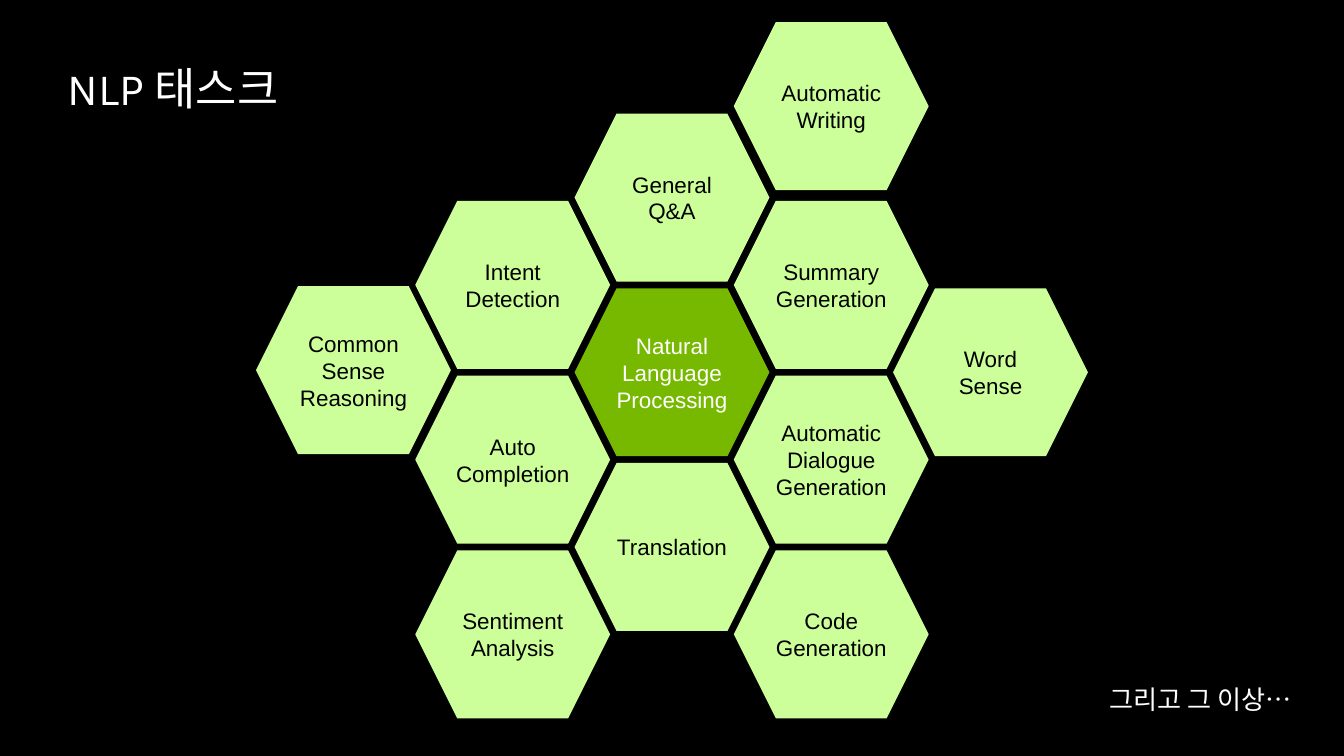
from pptx import Presentation
from pptx.dml.color import RGBColor
from pptx.enum.shapes import MSO_SHAPE as SHAPE
from pptx.enum.text import MSO_ANCHOR as ANCHOR, MSO_AUTO_SIZE as AUTO, PP_ALIGN as ALIGN
from pptx.util import Inches, Pt

BLACK, WHITE, GREEN, LIME = "000000", "FFFFFF", "76B900", "CCFF99"

# Content: task, columns from the centre, half rows from the centre, vertical nudge
CENTRE = "Natural Language Processing"
TASKS = [
    (CENTRE, 0, 0, 0),
    ("General Q&A", 0, -2, 0),
    ("Translation", 0, 2, 0),
    ("Summary Generation", 1, -1, 0),
    ("Automatic Dialogue Generation", 1, 1, 0),
    ("Intent Detection", -1, -1, 0),
    ("Auto Completion", -1, 1, 0),
    ("Word Sense", 2, 0, 0),
    ("Code Generation", 1, 3, 0),
    ("Common Sense Reasoning", -2, 0, -0.03),
    ("Automatic Writing", 1, -3, -0.06),
    ("Sentiment Analysis", -1, 3, 0),
]
# Text, box, size, alignment, anchor
LABELS = [
    ("그리고 그 이상…", (16.18, 10.16, 3.38, 0.53), 28, ALIGN.CENTER, ANCHOR.MIDDLE),
    ("NLP 태스크", (0.91, 0.95, 5.17, 1.08), 48, ALIGN.LEFT, ANCHOR.TOP),
]

# Honeycomb geometry in inches
HEX_W, HEX_H = 2.9, 2.5
LEFT, TOP = 8.55, 4.29
COL_STEP, HALF_ROW = 2.37, 1.3


def rgb(value):
    return RGBColor.from_string(value)


def write(sp, text, font, size, color, align, anchor):
    tf = sp.text_frame
    tf.word_wrap = True
    tf.vertical_anchor = anchor
    p = tf.paragraphs[0]
    p.alignment = align
    r = p.add_run()
    r.text = text
    r.font.name = font
    r.font.size = Pt(size)
    r.font.color.rgb = rgb(color)
    return p


prs = Presentation()
prs.slide_width, prs.slide_height = Inches(20), Inches(11.25)
s = prs.slides.add_slide(prs.slide_layouts[6])
s.background.fill.solid()
s.background.fill.fore_color.rgb = rgb(BLACK)

# Honeycomb of tasks
for task, col, half_row, nudge in TASKS:
    fill, color = (GREEN, WHITE) if task == CENTRE else (LIME, BLACK)
    sp = s.shapes.add_shape(
        SHAPE.HEXAGON,
        Inches(LEFT + col * COL_STEP),
        Inches(TOP + half_row * HALF_ROW + nudge),
        Inches(HEX_W), Inches(HEX_H))
    sp.adjustments[0] = 0.25
    sp.shadow.inherit = False
    sp.fill.solid()
    sp.fill.fore_color.rgb = rgb(fill)
    sp.line.fill.background()
    write(sp, task, "Arial", 24, color, ALIGN.CENTER, ANCHOR.MIDDLE)

# Closing remark and title
for text, box, size, align, anchor in LABELS:
    sp = s.shapes.add_textbox(*map(Inches, box))
    p = write(sp, text, "Karla", size, WHITE, align, anchor)
    p.line_spacing = 0.9
    sp.text_frame.auto_size = AUTO.NONE

prs.save("out.pptx")
